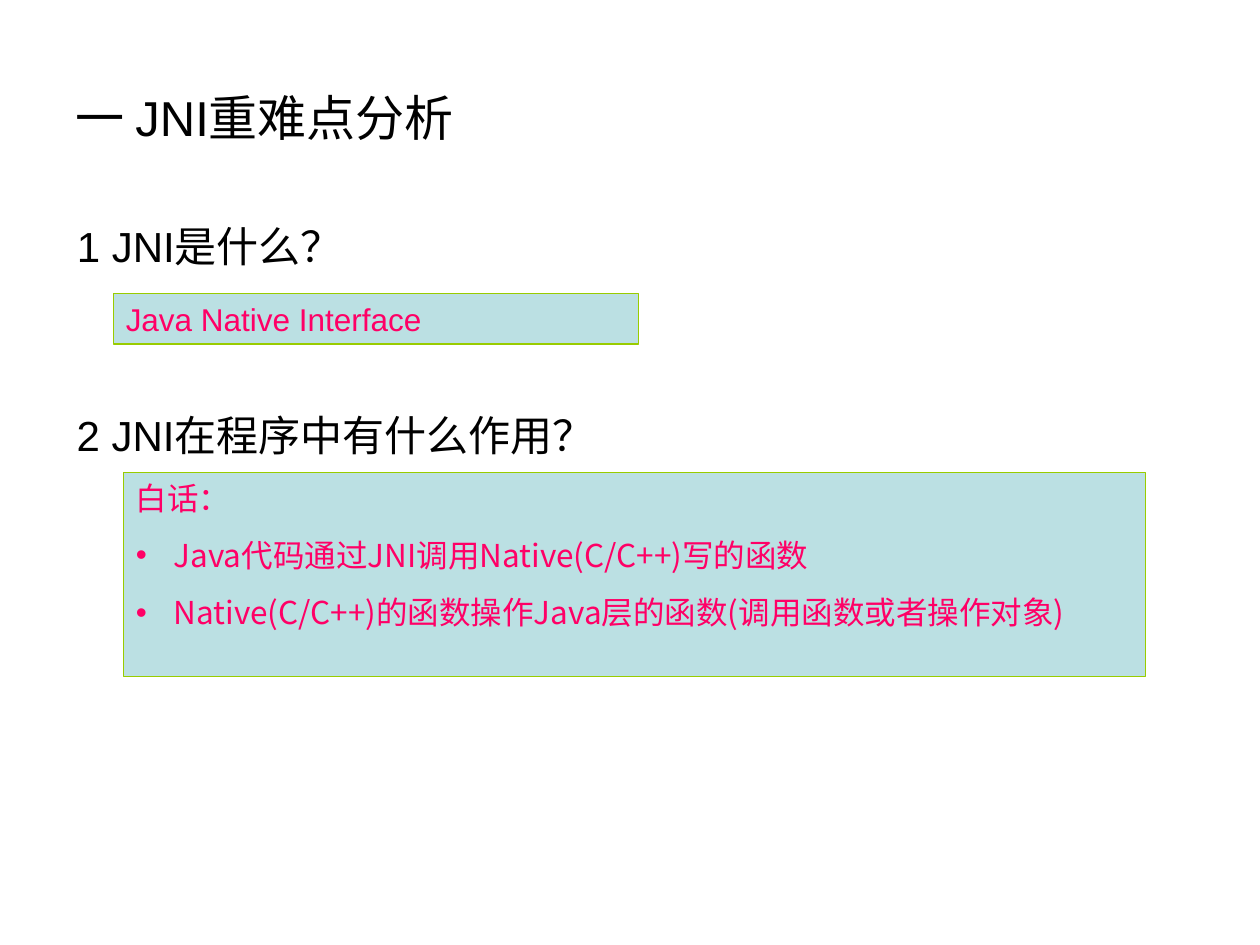
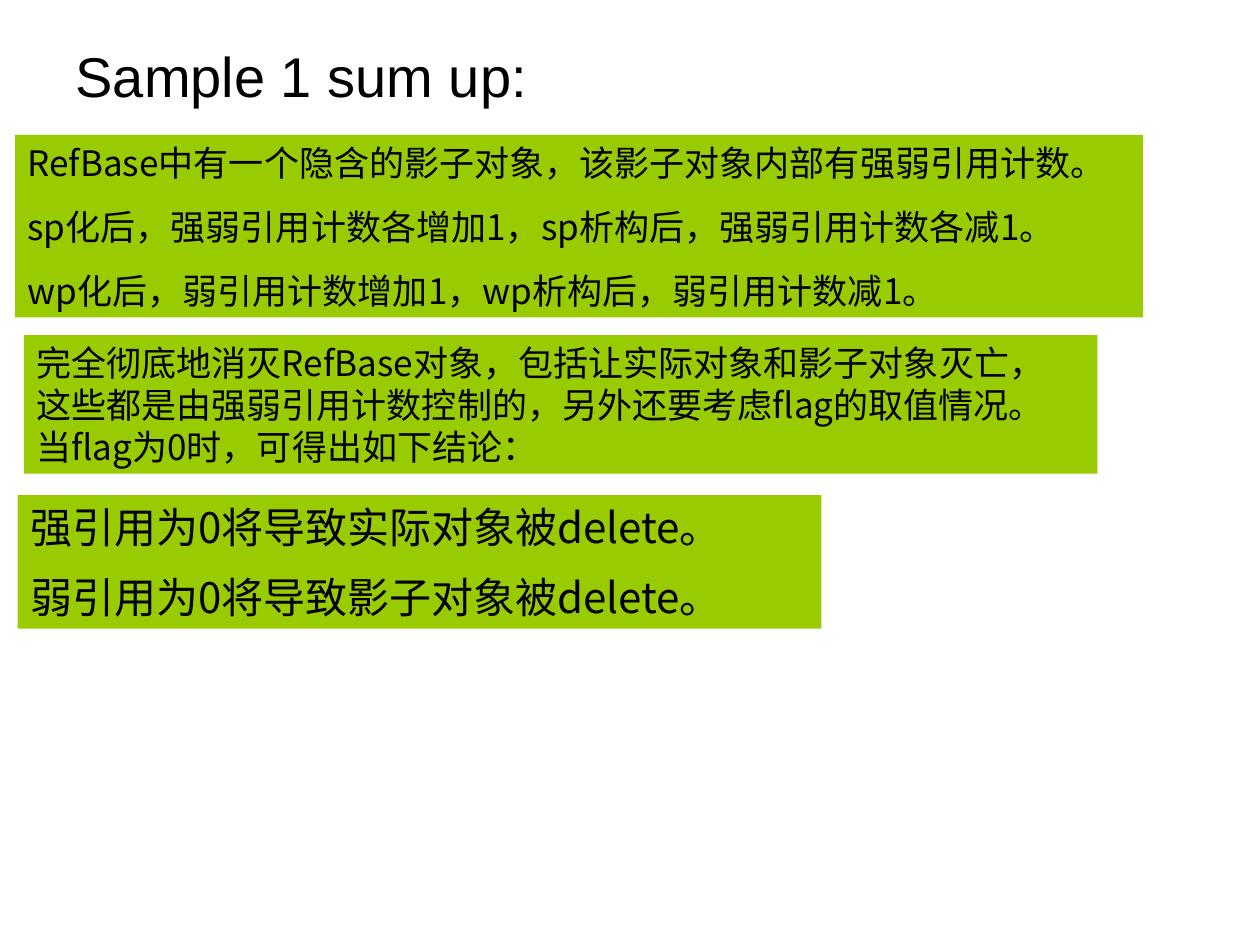
from pptx import Presentation
from pptx.dml.color import RGBColor
from pptx.enum.shapes import MSO_SHAPE
from pptx.enum.text import MSO_ANCHOR, MSO_AUTO_SIZE, PP_ALIGN
from pptx.oxml.ns import qn
from pptx.util import Inches, Pt
from lxml import etree

RECT = MSO_SHAPE.RECTANGLE
TOP, MIDDLE = MSO_ANCHOR.TOP, MSO_ANCHOR.MIDDLE
NO_FIT = MSO_AUTO_SIZE.NONE
LEFT = PP_ALIGN.LEFT

BLACK, PINK, GREEN, PALE = "000000", "FF0066", "99CC00", "BBE0E3"
LATIN, CJK = "Arial", "Noto Sans CJK SC"
TITLE_LAYOUT, BODY_LAYOUT = 5, 1


def rgb(value):
    return RGBColor.from_string(value)


def write(shape, box, lines, size, font=LATIN, color=BLACK, anchor=TOP,
          gap=0, bulleted=False):
    for name, value in zip(("left", "top", "width", "height"), box):
        setattr(shape, name, Inches(value))
    tf = shape.text_frame
    frame = {"word_wrap": True, "auto_size": NO_FIT, "vertical_anchor": anchor,
             "margin_left": Inches(0.1), "margin_right": Inches(0.1),
             "margin_top": Inches(0.05), "margin_bottom": Inches(0.05)}
    for name, value in frame.items():
        setattr(tf, name, value)
    for i, line in enumerate(lines):
        p = tf.paragraphs[0] if i == 0 else tf.add_paragraph()
        p.alignment = LEFT
        p.space_before = Pt(gap if i else 0)
        if font == CJK:
            p.line_spacing = Pt(size * 1.2)
        pPr = p._p.get_or_add_pPr()
        indent = Inches(0.3) if bulleted and i else 0
        pPr.set("marL", str(indent))
        pPr.set("indent", str(-indent))
        if indent:
            etree.SubElement(pPr, qn("a:buFont"), typeface=LATIN)
            etree.SubElement(pPr, qn("a:buChar"), char="•")
        else:
            etree.SubElement(pPr, qn("a:buNone"))
        r = p.add_run()
        r.text = line
        for name, value in {"name": font, "size": Pt(size), "bold": False}.items():
            setattr(r.font, name, value)
        r.font.color.rgb = rgb(color)
        rPr = r._r.get_or_add_rPr()
        rPr.set("lang", "zh-CN")
        etree.SubElement(rPr, qn("a:ea"), typeface=CJK)


prs = Presentation()
prs.slide_width, prs.slide_height = Inches(10), Inches(7.5)

s = prs.slides.add_slide(prs.slide_layouts[BODY_LAYOUT])
write(s.shapes.title, (0.5, 0.3, 9, 1.25), ["一 JNI重难点分析"], 28, anchor=MIDDLE)
write(s.placeholders[1], (0.51, 1.7, 9, 1.26), ["1 JNI是什么？"], 24)
question = s.shapes.add_textbox(0, 0, 0, 0)
write(question, (0.51, 3.2, 9, 1.65), ["2 JNI在程序中有什么作用？"], 24)

answers = [
    ((0.9, 2.33, 4.17, 0.4), LATIN, ["Java Native Interface"]),
    ((0.98, 3.75, 8.11, 1.62), CJK, [
        "白话：",
        "Java代码通过JNI调用Native(C/C++)写的函数",
        "Native(C/C++)的函数操作Java层的函数(调用函数或者操作对象)"]),
]
for box, font, lines in answers:
    sp = s.shapes.add_shape(RECT, 0, 0, 0, 0)
    sp.shadow.inherit = False
    sp.fill.solid()
    sp.fill.fore_color.rgb = rgb(PALE)
    sp.line.color.rgb = rgb(GREEN)
    sp.line.width = Pt(0.75)
    write(sp, box, lines, 18, font, PINK, gap=11.2, bulleted=True)

s = prs.slides.add_slide(prs.slide_layouts[TITLE_LAYOUT])
write(s.shapes.title, (0.5, 0.3, 4.88, 0.6), ["Sample 1 sum up:"], 32, anchor=MIDDLE)

conclusions = [
    ((0.12, 1.07, 8.95, 1.45), 20, 12.5, [
        "RefBase中有一个隐含的影子对象，该影子对象内部有强弱引用计数。",
        "sp化后，强弱引用计数各增加1，sp析构后，强弱引用计数各减1。",
        "wp化后，弱引用计数增加1，wp析构后，弱引用计数减1。"]),
    ((0.19, 2.66, 8.52, 1.1), 20, 0, [
        "完全彻底地消灭RefBase对象，包括让实际对象和影子对象灭亡，",
        "这些都是由强弱引用计数控制的，另外还要考虑flag的取值情况。",
        "当flag为0时，可得出如下结论："]),
    ((0.14, 3.93, 6.38, 1.06), 24, 11.2, [
        "强引用为0将导致实际对象被delete。",
        "弱引用为0将导致影子对象被delete。"]),
]
for box, size, gap, lines in conclusions:
    sp = s.shapes.add_shape(RECT, 0, 0, 0, 0)
    sp.shadow.inherit = False
    sp.fill.solid()
    sp.fill.fore_color.rgb = rgb(GREEN)
    sp.line.fill.background()
    write(sp, box, lines, size, CJK, anchor=MIDDLE, gap=gap)

prs.save("out.pptx")
